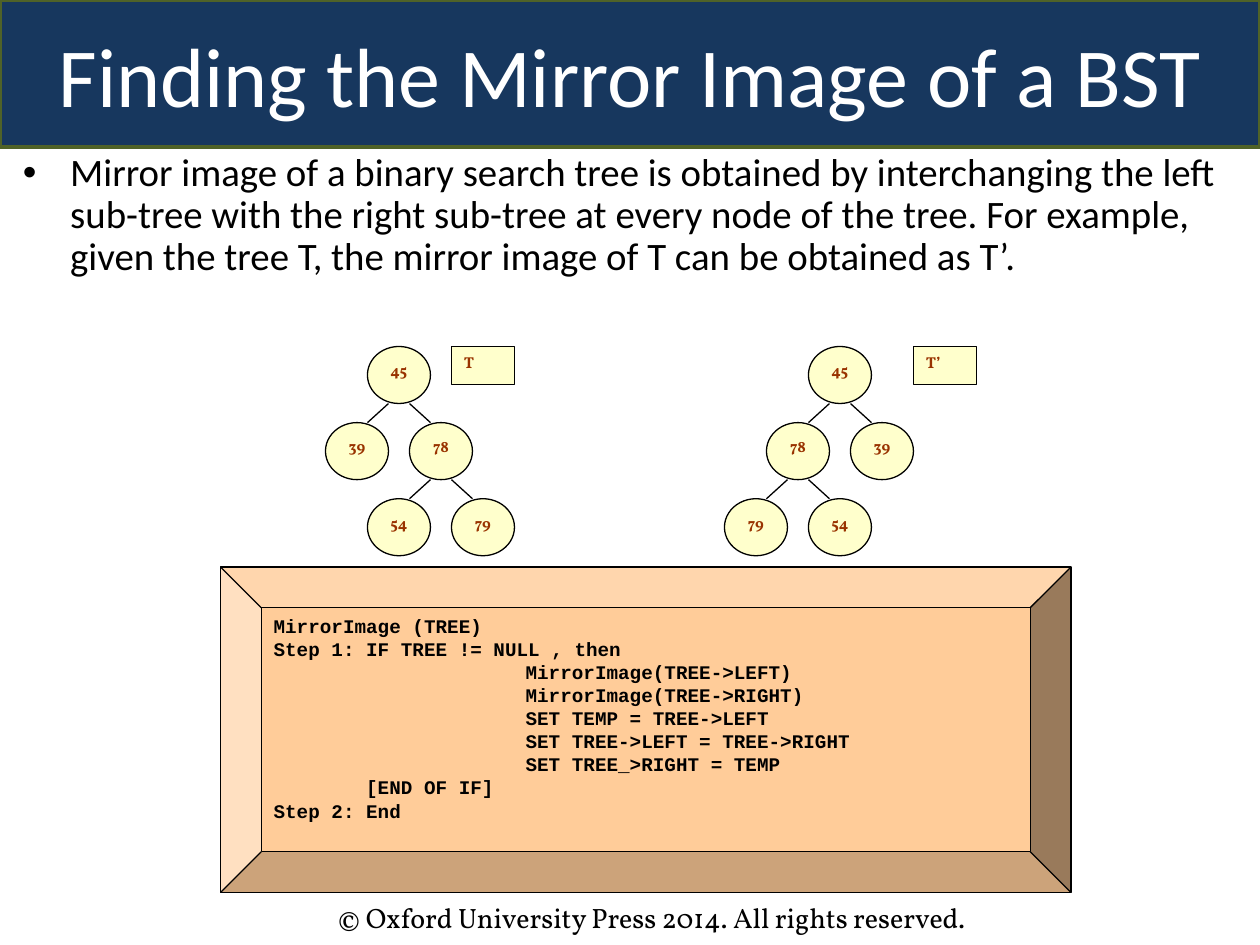
import pptx
import pptx.dml.color
import pptx.enum.shapes
import pptx.enum.text
import pptx.util
from lxml import etree
from pptx.oxml.ns import qn

Pt = pptx.util.Pt
RGBColor = pptx.dml.color.RGBColor
SHAPE = pptx.enum.shapes.MSO_SHAPE
ALIGN = pptx.enum.text.PP_ALIGN
ANCHOR = pptx.enum.text.MSO_ANCHOR

BLACK = RGBColor(0x00, 0x00, 0x00)
WHITE = RGBColor(0xFF, 0xFF, 0xFF)
NAVY = RGBColor(0x17, 0x37, 0x5E)
OLIVE = RGBColor(0x4F, 0x62, 0x28)
CREAM = RGBColor(0xFF, 0xFF, 0xCC)
RUST = RGBColor(0x99, 0x33, 0x00)
PEACH = RGBColor(0xFF, 0xCC, 0x99)

# Tree geometry in points
NODE_W, NODE_H = 36, 32.6
STEP_X, STEP_Y = 24, 43.5
EDGE_DX = 6
TREE_TOP = 198

# Each node is (value, left, right)
TREE = (45, (39, None, None), (78, (54, None, None), (79, None, None)))

ALGORITHM = [
    "MirrorImage (TREE)",
    "Step 1: IF TREE != NULL , then",
    "\t\tMirrorImage(TREE->LEFT)",
    "\t\tMirrorImage(TREE->RIGHT)",
    "\t\tSET TEMP = TREE->LEFT",
    "\t\tSET TREE->LEFT = TREE->RIGHT",
    "\t\tSET TREE_>RIGHT = TEMP",
    "        [END OF IF]",
    "Step 2: End",
]


def mirror(node):
    if node is None:
        return None
    value, left, right = node
    return value, mirror(right), mirror(left)


class SlideBuilder:
    label_style = dict(font="Vollkorn", size=9, color=RUST, bold=True)

    def __init__(self, slide):
        self.slide = slide

    def add_lines(self, frame, lines, font, size, color, bold=False,
                  align=ALIGN.LEFT, anchor=ANCHOR.TOP):
        frame.word_wrap = True
        frame.vertical_anchor = anchor
        for index, line in enumerate(lines):
            paragraph = frame.add_paragraph() if index else frame.paragraphs[0]
            paragraph.alignment = align
            if line.startswith("\t"):
                self.tab_stops(paragraph, (72, 144))
            run = paragraph.add_run()
            run.text = line
            run.font.name = font
            run.font.size = Pt(size)
            run.font.bold = bold
            run.font.color.rgb = color

    def tab_stops(self, paragraph, positions):
        stops = etree.SubElement(paragraph._p.get_or_add_pPr(), qn("a:tabLst"))
        for position in positions:
            etree.SubElement(stops, qn("a:tab"), pos=str(Pt(position)), algn="l")

    def text(self, x, y, w, h, lines, **style):
        box = self.slide.shapes.add_textbox(Pt(x), Pt(y), Pt(w), Pt(h))
        self.add_lines(box.text_frame, lines, **style)
        return box

    def bullet(self, x, y, w, h, line, indent, **style):
        paragraph = self.text(x, y, w, h, [line], **style).text_frame.paragraphs[0]
        paragraph.line_spacing = 0.9
        properties = paragraph._p.get_or_add_pPr()
        properties.set("marL", str(Pt(indent)))
        properties.set("indent", str(-Pt(indent)))
        etree.SubElement(properties, qn("a:buFont"), typeface="Arial")
        etree.SubElement(properties, qn("a:buChar"), char="•")

    def shape(self, kind, x, y, w, h, lines, fill, line=BLACK, width=0.75,
              adjust=None, **style):
        shape = self.slide.shapes.add_shape(kind, Pt(x), Pt(y), Pt(w), Pt(h))
        shape.shadow.inherit = False
        shape.fill.solid()
        shape.fill.fore_color.rgb = fill
        shape.line.color.rgb = line
        shape.line.width = Pt(width)
        if adjust is not None:
            shape.adjustments[0] = adjust
        self.add_lines(shape.text_frame, lines, **style)

    def edge(self, x1, y1, x2, y2):
        edge = self.slide.shapes.add_connector(
            pptx.enum.shapes.MSO_CONNECTOR.STRAIGHT, Pt(x1), Pt(y1), Pt(x2), Pt(y2))
        edge.line.color.rgb = BLACK
        edge.line.width = Pt(0.75)
        etree.SubElement(edge._element.spPr, qn("a:effectLst"))

    def tree(self, node, center, top):
        value, *children = node
        self.shape(SHAPE.OVAL, center - NODE_W / 2, top, NODE_W, NODE_H,
                   [str(value)], CREAM, align=ALIGN.CENTER, **self.label_style)
        for side, child in zip((-1, 1), children):
            if child:
                child_center, child_top = center + side * STEP_X, top + STEP_Y
                self.edge(center + side * EDGE_DX, top + NODE_H,
                          child_center - side * EDGE_DX, child_top)
                self.tree(child, child_center, child_top)

    def tree_label(self, x, label):
        self.shape(SHAPE.RECTANGLE, x, TREE_TOP, 36, 21.6, [label], CREAM,
                   **self.label_style)


def main():
    deck = pptx.Presentation()
    deck.slide_width, deck.slide_height = Pt(720), Pt(540)
    builder = SlideBuilder(deck.slides.add_slide(deck.slide_layouts[6]))

    # Copyright line
    builder.text(186, 511, 426, 26.6,
                 ["© Oxford University Press 2014. All rights reserved."],
                 font="Vollkorn", size=16, color=BLACK)

    # Title band
    builder.shape(SHAPE.ROUNDED_RECTANGLE, 0, 0, 720, 84,
                  ["Finding the Mirror Image of a BST"], NAVY, OLIVE, 2, adjust=0,
                  font="Calibri", size=48, color=WHITE,
                  align=ALIGN.CENTER, anchor=ANCHOR.MIDDLE)

    # Explanation
    builder.bullet(
        6, 84, 708, 96,
        "Mirror image of a binary search tree is obtained by interchanging the "
        "left sub-tree with the right sub-tree at every node of the tree. For "
        "example, given the tree T, the mirror image of T can be obtained as T’.",
        indent=27, font="Calibri", size=22.2, color=BLACK)

    # Tree and its mirror image
    builder.tree(TREE, 228, TREE_TOP)
    builder.tree_label(258, "T")
    builder.tree(mirror(TREE), 480, TREE_TOP)
    builder.tree_label(522, "T’")

    # Algorithm panel
    builder.shape(SHAPE.BEVEL, 126, 324, 486, 186, ALGORITHM, PEACH, adjust=0.125,
                  font="Courier New", size=11, color=BLACK, bold=True)

    deck.save("out.pptx")


if __name__ == "__main__":
    main()
